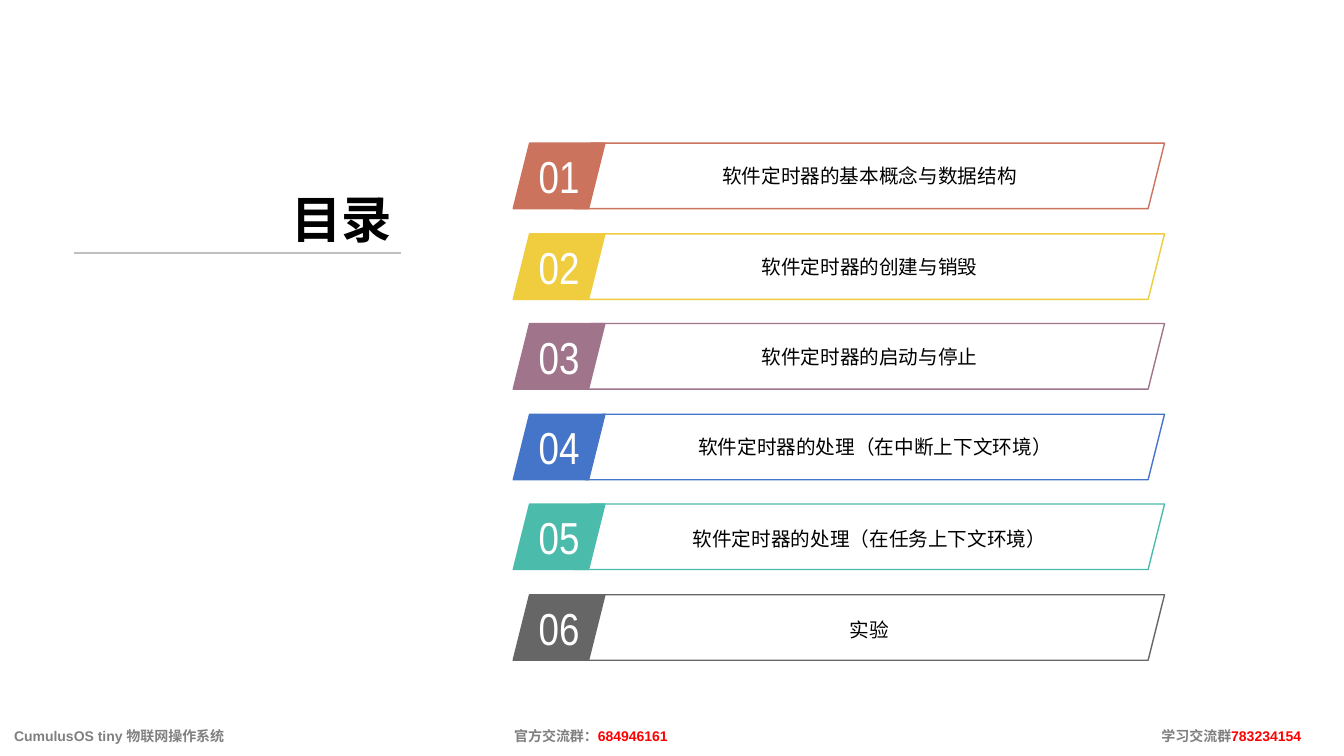
from lxml.etree import SubElement
from pptx import Presentation
from pptx.dml.color import RGBColor
from pptx.enum.shapes import MSO_CONNECTOR, MSO_SHAPE
from pptx.enum.text import MSO_ANCHOR as Anchor, PP_ALIGN as Align
from pptx.oxml.ns import qn
from pptx.util import Pt

PX = 9144  # EMU per px, 100 px to the inch

WHITE = RGBColor(0xFF, 0xFF, 0xFF)
BLACK = RGBColor(0x00, 0x00, 0x00)
GREY = RGBColor(0x80, 0x80, 0x80)
RULE_GREY = RGBColor(0xBF, 0xBF, 0xBF)
RED = RGBColor(0xFF, 0x00, 0x00)
TERRACOTTA = RGBColor(0xCC, 0x73, 0x5E)
YELLOW = RGBColor(0xEF, 0xCD, 0x3F)
MAUVE = RGBColor(0xA0, 0x75, 0x8C)
BLUE = RGBColor(0x45, 0x75, 0xC9)
TEAL = RGBColor(0x4B, 0xBC, 0xAC)
CHARCOAL = RGBColor(0x66, 0x66, 0x66)

# Chapter text, colour, left edge of its frame, line spacing
CHAPTERS = [
    ("软件定时器的基本概念与数据结构", TERRACOTTA, 570, 1.0),
    ("软件定时器的创建与销毁", YELLOW, 570, 1.0),
    ("软件定时器的启动与停止", MAUVE, 570, 1.0),
    ("软件定时器的处理（在中断上下文环境）", BLUE, 581, 1.0),
    ("软件定时器的处理（在任务上下文环境）", TEAL, 570, 1.2),
    ("实验", CHARCOAL, 570, 1.2),
]
FIRST_TOP, LAST_TOP = 142, 590
ROW_HEIGHT = 65
NUMBER_LEFT, NUMBER_WIDTH = 509, 91
FRAME_RIGHT = 1155

NUMBER_FONT = {"name": "Arial Narrow", "size": Pt(32)}
CHAPTER_FONT = {"name": "Arial", "size": Pt(14)}
TITLE_FONT = {"name": "Arial", "size": Pt(36), "bold": True}
FOOTER_FONT = {"name": "Arial", "size": Pt(10), "bold": True}

FOOTER_RUNS = [
    ("CumulusOS tiny 物联网操作系统\t官方交流群：", GREY),
    ("684946161\t", RED),
    ("学习交流群", GREY),
    ("783234154", RED),
]
FOOTER_TABS = (496, 1138)


def emu(*lengths):
    return [length * PX for length in lengths]


def apply(target, values):
    for attribute, value in values.items():
        setattr(target, attribute, value)


def add_run(paragraph, words, font, colour):
    run = paragraph.add_run()
    run.text = words
    apply(run.font, font)
    run.font.color.rgb = colour


def add_parallelogram(slide, box, colour, filled, wrap):
    panel = slide.shapes.add_shape(MSO_SHAPE.PARALLELOGRAM, *emu(*box))
    panel.shadow.inherit = False
    if filled:
        panel.fill.solid()
        panel.fill.fore_color.rgb = colour
    else:
        panel.fill.background()
    panel.line.color.rgb = colour
    panel.line.width = Pt(1)
    apply(panel.text_frame, {"word_wrap": wrap, "vertical_anchor": Anchor.MIDDLE})
    paragraph = panel.text_frame.paragraphs[0]
    paragraph.alignment = Align.CENTER
    return paragraph


def add_chapter(slide, index, chapter):
    words, colour, left, spacing = chapter
    top = FIRST_TOP + round(index * (LAST_TOP - FIRST_TOP) / (len(CHAPTERS) - 1))

    number = add_parallelogram(
        slide, (NUMBER_LEFT, top, NUMBER_WIDTH, ROW_HEIGHT), colour, True, False)
    add_run(number, f"{index + 1:02d}", NUMBER_FONT, WHITE)

    heading = add_parallelogram(
        slide, (left, top, FRAME_RIGHT - left, ROW_HEIGHT), colour, False, True)
    heading.line_spacing = spacing
    add_run(heading, words, CHAPTER_FONT, BLACK)


def add_rule(slide, ends):
    rule = slide.shapes.add_connector(MSO_CONNECTOR.STRAIGHT, *emu(*ends))
    rule.line.color.rgb = RULE_GREY
    rule.line.width = Pt(1.5)
    SubElement(rule._element.spPr, qn("a:effectLst"))


def add_text(slide, box, frame_format):
    frame = slide.shapes.add_textbox(*emu(*box)).text_frame
    apply(frame, frame_format)
    return frame.paragraphs[0]


def add_tab_stops(paragraph, stops):
    tabs = SubElement(paragraph._p.get_or_add_pPr(), qn("a:tabLst"))
    for stop in stops:
        SubElement(tabs, qn("a:tab"), pos=str(stop * PX), algn="l")


def main():
    deck = Presentation()
    deck.slide_width, deck.slide_height = emu(1333, 750)
    slide = deck.slides.add_slide(deck.slide_layouts[6])

    # Chapter list
    for index, chapter in enumerate(CHAPTERS):
        add_chapter(slide, index, chapter)

    # Title over its rule
    add_rule(slide, (73, 251, 398, 251))
    title = add_text(slide, (160, 142, 239, 110),
                     {"word_wrap": False, "vertical_anchor": Anchor.BOTTOM})
    title.alignment = Align.RIGHT
    add_run(title, "目录", TITLE_FONT, BLACK)

    # Footer in three columns
    footer = add_text(slide, (0, 710, 1333, 40),
                      {"word_wrap": True, "vertical_anchor": Anchor.MIDDLE,
                       "margin_left": 14 * PX})
    add_tab_stops(footer, FOOTER_TABS)
    for words, colour in FOOTER_RUNS:
        add_run(footer, words, FOOTER_FONT, colour)

    deck.save("out.pptx")


if __name__ == "__main__":
    main()
